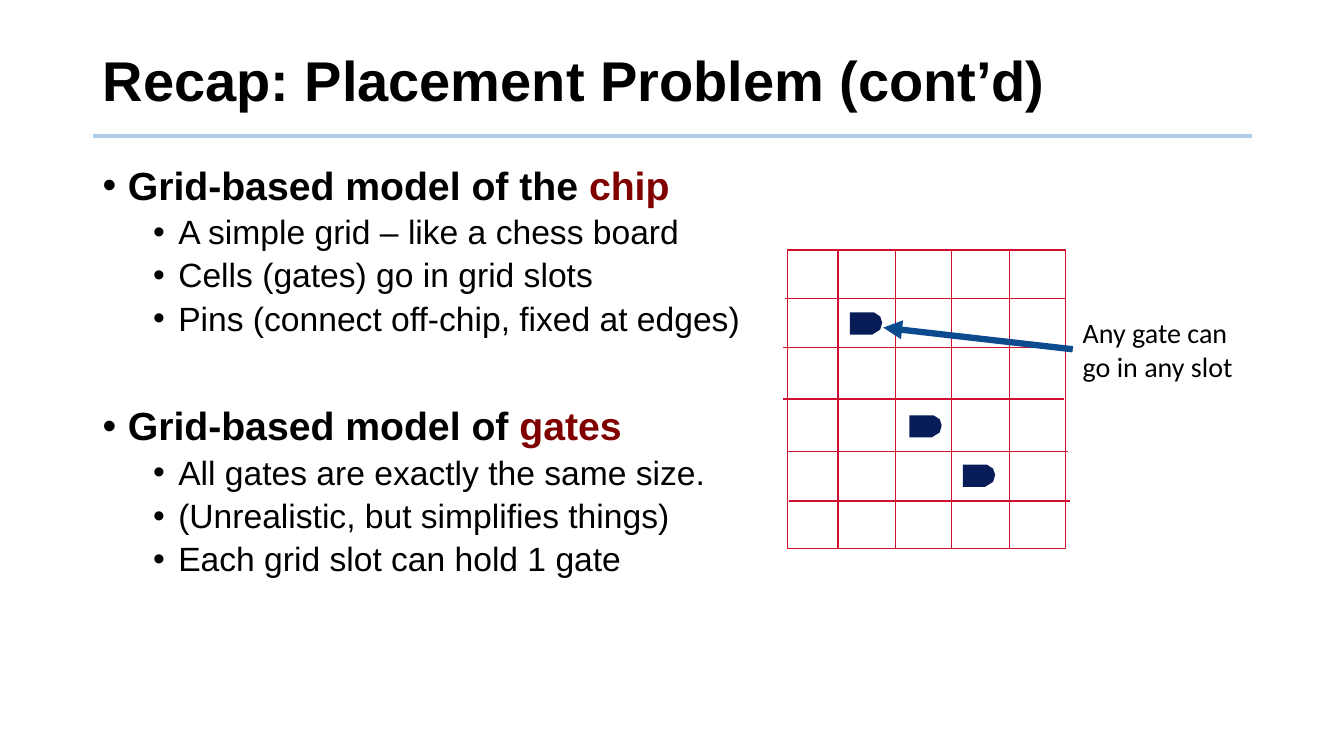
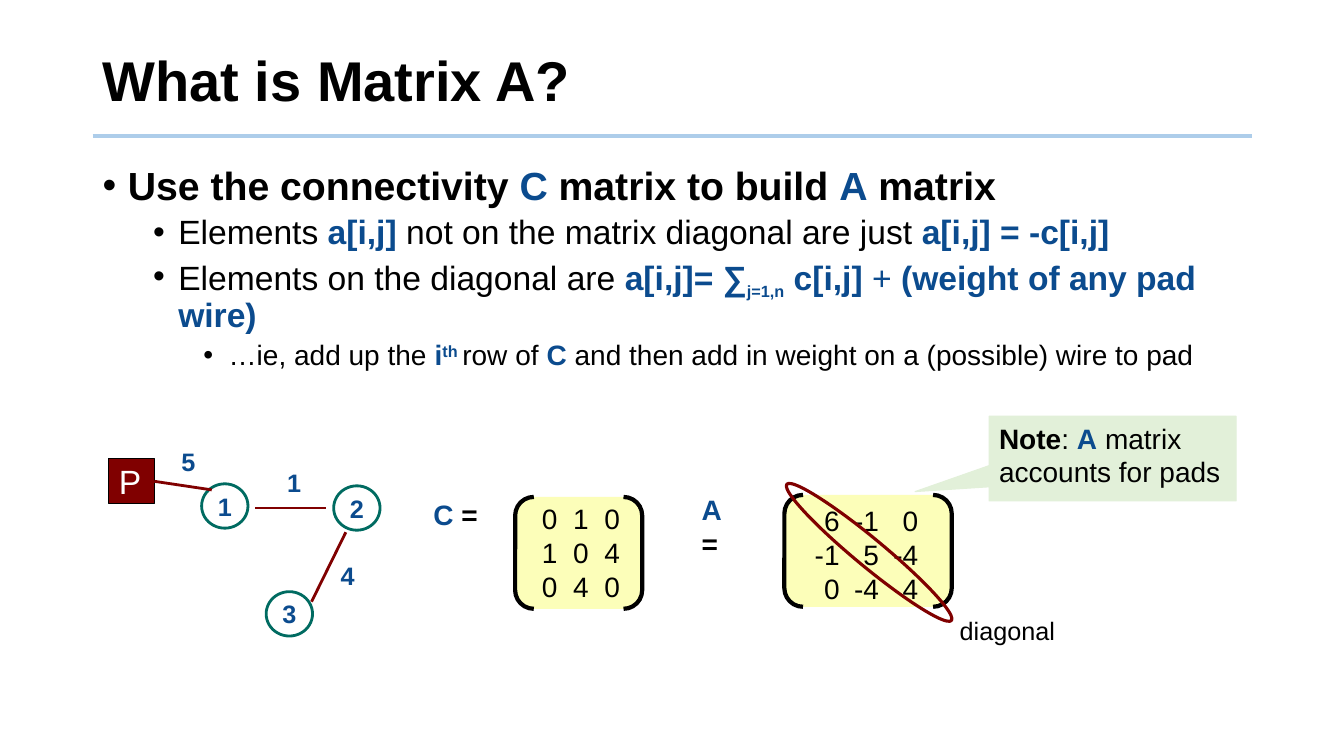
from lxml import etree
from pptx import Presentation
from pptx.dml.color import RGBColor
from pptx.enum.shapes import MSO_CONNECTOR, MSO_SHAPE
from pptx.enum.text import MSO_ANCHOR, PP_ALIGN
from pptx.oxml.ns import qn
from pptx.util import Pt

PX = 9144
BLACK = RGBColor(0x00, 0x00, 0x00)
WHITE = RGBColor(0xFF, 0xFF, 0xFF)
RULE_BLUE = RGBColor(0xAD, 0xCD, 0xEA)
BLUE = RGBColor(0x0B, 0x4B, 0x8E)
NAVY = RGBColor(0x08, 0x1D, 0x58)
MAROON = RGBColor(0x80, 0x00, 0x00)
GRID_RED = RGBColor(0xCF, 0x0E, 0x30)
TEAL = RGBColor(0x00, 0x6B, 0x61)
YELLOW = RGBColor(0xFC, 0xFE, 0xB9)
GREEN = RGBColor(0xE2, 0xF0, 0xD9)

KEY = {"color": BLUE, "bold": True}
ACCENT = {"color": MAROON}
SUB = {**KEY, "size": 20, "baseline": -25000}
SUPER = {**KEY, "baseline": 30000}

LEVELS = [
    {"size": 28, "bold": True, "margin": 25, "before": 10},
    {"size": 24, "bold": False, "margin": 75, "before": 5},
    {"size": 20, "bold": False, "margin": 125, "before": 5},
]
HANGING = 25
SECTION_GAP = 49

PLACEMENT_BULLETS = [
    (0, ["Grid-based model of the ", ("chip", ACCENT)]),
    (1, ["A simple grid – like a chess board"]),
    (1, ["Cells (gates) go in grid slots"]),
    (1, ["Pins (connect off-chip, fixed at edges)"]),
    (0, ["Grid-based model of ", ("gates", ACCENT)]),
    (1, ["All gates are exactly the same size."]),
    (1, ["(Unrealistic, but simplifies things)"]),
    (1, ["Each grid slot can hold 1 gate"]),
]
MATRIX_BULLETS = [
    (0, ["Use the connectivity ", ("C", KEY), " matrix to build ", ("A", KEY), " matrix"]),
    (1, ["Elements ", ("a[i,j] ", KEY), "not on the matrix diagonal are just ",
         ("a[i,j] = -c[i,j]", KEY)]),
    (1, ["Elements on the diagonal are ", ("a[i,j]= ∑", KEY), ("j=1,n", SUB),
         (" c[i,j] ", KEY), ("+ ", {"color": BLUE}), ("(weight of any pad wire)", KEY)]),
    (2, ["…ie, add up the ", ("i", KEY), ("th ", SUPER), "row of ", ("C ", KEY),
         "and then add in weight on a (possible) wire to pad"]),
]

CHIP = (781, 248, 276, 296)
COLUMN_LINES = [831, 888, 944, 1001]
COLUMN_SPAN = (248, 545)
ROW_LINES = [(779, 296), (777, 345), (777, 396), (781, 448), (783, 497)]
ROW_LENGTH = 278
GATE_OUTLINE = [(0, 0), (0, 22), (22, 22), (30, 17), (32, 10), (30, 4), (24, 0)]
GATES = [(843, 310), (902, 412), (955, 461)]

NODES = [("1", 200, 480), ("2", 331, 482), ("3", 264, 587)]
WIRES = [(253, 504, 323, 504), (309, 597, 343, 528)]
WEIGHTS = [("1", 275, 459), ("4", 328, 551), ("5", 170, 438)]
MATRICES = [
    {"box": (511, 493, 126, 111), "text_top": 493, "first": 32, "step": 31,
     "rows": [(0, 1, 0), (1, 0, 4), (0, 4, 0)],
     "name": ["C ", "="], "name_box": (420, 489, 64, 43), "wrap": False},
    {"box": (778, 491, 166, 111), "text_top": 495, "first": 45, "step": 39,
     "rows": [(6, -1, 0), (-1, 5, -4), (0, -4, 4)],
     "name": ["A", " ="], "name_box": (686, 484, 60, 43), "wrap": True},
]


def px(*values):
    return [value * PX for value in values]


def write(para, spans, size, color=BLACK, bold=False, font="Arial"):
    for item in spans:
        text, style = (item, {}) if isinstance(item, str) else item
        span = para.add_run()
        span.text = text
        span.font.name = font
        span.font.size = Pt(style.get("size", size))
        span.font.bold = style.get("bold", bold)
        span.font.color.rgb = style.get("color", color)
        if "baseline" in style:
            span._r.get_or_add_rPr().set("baseline", str(style["baseline"]))


def add_text(page, at, spans, size, wrap=True, **look):
    box = page.shapes.add_textbox(*px(*at))
    box.text_frame.word_wrap = wrap
    write(box.text_frame.paragraphs[0], spans, size, **look)
    return box


def add_shape(page, kind, at, fill=None, line=None, width=1):
    shape = page.shapes.add_shape(kind, *px(*at))
    shape.shadow.inherit = False
    if fill is None:
        shape.fill.background()
    else:
        shape.fill.solid()
        shape.fill.fore_color.rgb = fill
    shape.line.color.rgb = line
    shape.line.width = Pt(width)
    return shape


def add_line(page, ends, color, width):
    line = page.shapes.add_connector(MSO_CONNECTOR.STRAIGHT, *px(*ends))
    line.line.color.rgb = color
    line.line.width = Pt(width)
    etree.SubElement(line._element.spPr, qn("a:effectLst"))
    return line


def add_bullets(page, bullets):
    frame = page.shapes.add_textbox(*px(92, 160, 1150, 515)).text_frame
    frame.word_wrap = True
    for index, (level, spans) in enumerate(bullets):
        para = frame.paragraphs[0] if index == 0 else frame.add_paragraph()
        look = LEVELS[level]
        para.level = level
        para.line_spacing = 0.9
        before = SECTION_GAP if level == 0 else look["before"]
        para.space_before = Pt(before if index else 0)
        props = para._p.get_or_add_pPr()
        props.set("marL", str(look["margin"] * PX))
        props.set("indent", str(-HANGING * PX))
        etree.SubElement(props, qn("a:buFont")).set("typeface", "Arial")
        etree.SubElement(props, qn("a:buChar")).set("char", "•")
        write(para, spans, look["size"], bold=look["bold"])


def add_page(deck, title, bullets):
    page = deck.slides.add_slide(deck.slide_layouts[6])
    add_line(page, (92, 135, 1242, 135), RULE_BLUE, 3)
    box = add_text(page, (92, 28, 1150, 110), [title], 40, bold=True)
    box.text_frame.vertical_anchor = MSO_ANCHOR.MIDDLE
    box.text_frame.paragraphs[0].line_spacing = 0.9
    add_bullets(page, bullets)
    return page


def add_gate(page, left, top):
    points = [(left + x, top + y) for x, y in GATE_OUTLINE]
    outline = page.shapes.build_freeform(*points[0], scale=PX)
    outline.add_line_segments(points[1:], close=True)
    gate = outline.convert_to_shape()
    gate.shadow.inherit = False
    gate.fill.solid()
    gate.fill.fore_color.rgb = NAVY
    gate.line.fill.background()


def add_chip(page):
    add_shape(page, MSO_SHAPE.RECTANGLE, CHIP, line=GRID_RED)
    top, bottom = COLUMN_SPAN
    for x in COLUMN_LINES:
        add_line(page, (x, top, x, bottom), GRID_RED, 1)
    for x, y in ROW_LINES:
        add_line(page, (x, y, x + ROW_LENGTH, y), GRID_RED, 1)
    for left, top in GATES:
        add_gate(page, left, top)
    label = add_text(page, (1064, 308, 196, 77), ["Any gate can go in any slot"],
                     20, font="Calibri")
    arrow = add_line(page, (1064, 346, 876, 325), BLUE, 4.5)
    arrow.begin_connect(label, 1)
    etree.SubElement(arrow.line._get_or_add_ln(), qn("a:tailEnd")).set("type", "triangle")


def add_matrix(page, matrix):
    left, _, width, height = matrix["box"]
    add_shape(page, MSO_SHAPE.DOUBLE_BRACKET, matrix["box"], YELLOW, BLACK, 3)
    name, equals = matrix["name"]
    add_text(page, matrix["name_box"], [(name, KEY), equals], 20,
             wrap=matrix["wrap"], bold=True)
    frame = page.shapes.add_textbox(*px(left, matrix["text_top"], width, height)).text_frame
    frame.word_wrap = True
    for index, row in enumerate(matrix["rows"]):
        para = frame.paragraphs[0] if index == 0 else frame.add_paragraph()
        tabs = etree.SubElement(para._p.get_or_add_pPr(), qn("a:tabLst"))
        for column in range(len(row)):
            tab = etree.SubElement(tabs, qn("a:tab"))
            tab.set("pos", str((matrix["first"] + column * matrix["step"]) * PX))
            tab.set("algn", "r")
        write(para, ["".join(f"\t{value}" for value in row)], 20)


def add_network(page):
    for name, left, top in NODES:
        node = add_shape(page, MSO_SHAPE.OVAL, (left, top, 46, 44), line=TEAL, width=2)
        frame = node.text_frame
        frame.word_wrap = False
        frame.vertical_anchor = MSO_ANCHOR.MIDDLE
        frame.paragraphs[0].alignment = PP_ALIGN.CENTER
        write(frame.paragraphs[0], [name], 18, **KEY)
    for ends in WIRES:
        add_line(page, ends, MAROON, 2)
    pad = add_shape(page, MSO_SHAPE.RECTANGLE, (108, 455, 45, 45), MAROON, BLACK, 0.75)
    pad.text_frame.vertical_anchor = MSO_ANCHOR.MIDDLE
    pad.text_frame.paragraphs[0].alignment = PP_ALIGN.LEFT
    write(pad.text_frame.paragraphs[0], ["P"], 24, WHITE)
    add_line(page, (151, 474, 210, 486), MAROON, 2).begin_connect(pad, 3)
    for weight, left, top in WEIGHTS:
        add_text(page, (left, top, 34, 40), [weight], 18, wrap=False, **KEY)


def add_notes_on_matrix(page):
    diagonal = add_shape(page, MSO_SHAPE.OVAL, (848, 442, 28, 212), line=MAROON, width=2.25)
    diagonal.rotation = 309.6
    add_text(page, (942, 606, 116, 40), ["diagonal"], 18, wrap=False)
    callout = add_shape(page, MSO_SHAPE.RECTANGULAR_CALLOUT, (981, 413, 245, 84),
                        GREEN, GREEN, 0.75)
    callout.adjustments[0] = -0.8
    callout.adjustments[1] = 0.39
    callout.text_frame.vertical_anchor = MSO_ANCHOR.TOP
    para = callout.text_frame.paragraphs[0]
    para.alignment = PP_ALIGN.LEFT
    write(para, [("Note", {"bold": True}), ": ", ("A", KEY), " matrix accounts for pads"], 20)


def main():
    deck = Presentation()
    deck.slide_width, deck.slide_height = px(1333, 750)
    add_chip(add_page(deck, "Recap: Placement Problem (cont’d)", PLACEMENT_BULLETS))
    page = add_page(deck, "What is Matrix A?", MATRIX_BULLETS)
    add_network(page)
    for matrix in MATRICES:
        add_matrix(page, matrix)
    add_notes_on_matrix(page)
    deck.save("out.pptx")


if __name__ == "__main__":
    main()
